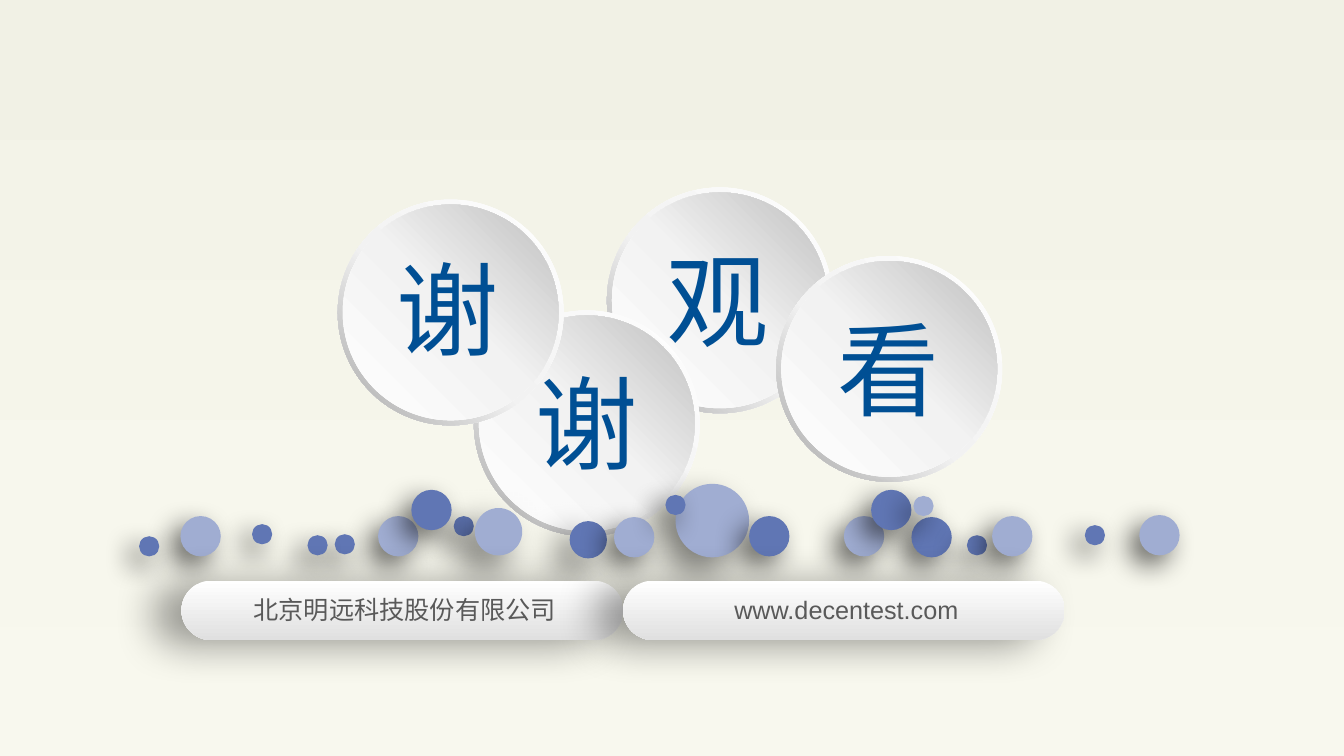
from dataclasses import dataclass
from typing import Any

from lxml.etree import SubElement
from pptx import Presentation
from pptx.dml.color import RGBColor
from pptx.enum.shapes import MSO_SHAPE as Preset
from pptx.enum.text import MSO_AUTO_SIZE as AutoSize, PP_ALIGN as Align
from pptx.oxml.ns import qn
from pptx.util import Inches, Pt


@dataclass(frozen=True)
class Gradient:
    stops: tuple[tuple[int, str], ...]
    angle: int


@dataclass(frozen=True)
class Shadow:
    opacity: int
    blur: int
    distance: int
    angle: int


@dataclass(frozen=True)
class Box:
    left: float
    top: float
    width: float
    height: float


@dataclass(frozen=True)
class Disc:
    left: float
    top: float


@dataclass(frozen=True)
class Character:
    text: str
    left: float
    top: float


@dataclass(frozen=True)
class Bead:
    left: float
    top: float
    size: float
    color: str


@dataclass(frozen=True)
class Pill:
    left: float
    text: str


LIGHT, DARK = "A0ADD2", "6076B4"
BACKDROP = Gradient(((0, "F1F1E5"), (74, "F7F7ED"), (83, "F8F8EE"), (100, "F9F9EF")), 90)
RIM = Gradient(((0, "FFFFFF"), (55, "F2F2F2"), (100, "A6A6A6")), 135)
FACE = Gradient(((0, "FFFFFF"), (51, "F2F2F2"), (100, "BFBFBF")), 315)
PILL_FILL = Gradient(((0, "FFFFFF"), (100, "E0E0E0")), 90)
SOFT_SHADOW = Shadow(50, 25, 15, 135)
TIGHT_SHADOW = Shadow(60, 20, 10, 135)
PILL_SHADOW = Shadow(40, 30, 20, 171)
DISC_SIZE, RIM_WIDTH = 2.24, 0.05
SMALL, MEDIUM = 0.2, 0.4

CHARACTER_FRAME = {
    "margin_left": Inches(0.13), "margin_right": Inches(0.13),
    "margin_top": Inches(0.07), "margin_bottom": Inches(0.07),
    "word_wrap": False, "auto_size": AutoSize.SHAPE_TO_FIT_TEXT,
}
CHARACTER_FONT = {"size": Pt(73), "name": "Calibri"}
PILL_FRAME = {"word_wrap": True, "auto_size": AutoSize.SHAPE_TO_FIT_TEXT}
PILL_FONT = {"size": Pt(18), "name": "Arial"}

DISCS = [Disc(6.02, 1.86), Disc(4.7, 3.08), Disc(3.35, 1.98), Disc(7.7, 2.54)]
CHARACTERS = [
    Character("谢", 3.8, 2.37), Character("谢", 5.18, 3.5),
    Character("观", 6.48, 2.28), Character("看", 8.18, 2.97),
]
BEADS = [
    Bead(6.7, 4.8, 0.73, LIGHT),
    Bead(8.37, 5.12, MEDIUM, LIGHT),
    Bead(3.75, 5.12, MEDIUM, LIGHT),
    Bead(3.32, 5.3, SMALL, DARK),
    Bead(9.04, 5.13, MEDIUM, DARK),
    Bead(4.5, 5.12, SMALL, DARK),
    Bead(9.59, 5.31, SMALL, DARK),
    Bead(5.65, 5.17, 0.37, DARK),
    Bead(9.84, 5.12, MEDIUM, LIGHT),
    Bead(6.09, 5.13, MEDIUM, LIGHT),
    Bead(10.76, 5.21, SMALL, DARK),
    Bead(8.64, 4.86, MEDIUM, DARK),
    Bead(3.05, 5.31, SMALL, DARK),
    Bead(6.6, 4.91, SMALL, DARK),
    Bead(4.71, 5.04, 0.47, LIGHT),
    Bead(7.43, 5.12, MEDIUM, DARK),
    Bead(1.79, 5.12, MEDIUM, LIGHT),
    Bead(1.38, 5.32, SMALL, DARK),
    Bead(4.08, 4.86, MEDIUM, DARK),
    Bead(2.5, 5.2, SMALL, DARK),
    Bead(9.06, 4.92, SMALL, LIGHT),
    Bead(11.3, 5.11, MEDIUM, LIGHT),
]
PILLS = [Pill(1.8, "北京明远科技股份有限公司"), Pill(6.18, "www.decentest.com")]


def rgb(color: str) -> RGBColor:
    return RGBColor.from_string(color)


def apply(target: Any, values: dict[str, Any]) -> None:
    for name, value in values.items():
        setattr(target, name, value)


def paint(owner: Any, fill: str | Gradient) -> None:
    owner.fill.solid()
    if isinstance(fill, str):
        owner.fill.fore_color.rgb = rgb(fill)


def blend(element: Any, gradient: Gradient) -> None:
    solid = element.find(".//" + qn("a:solidFill"))
    blended = solid.getparent().makeelement(qn("a:gradFill"), {"rotWithShape": "1"})
    stops = SubElement(blended, qn("a:gsLst"))
    for position, color in gradient.stops:
        stop = SubElement(stops, qn("a:gs"), pos=str(position * 1000))
        SubElement(stop, qn("a:srgbClr"), val=color)
    SubElement(blended, qn("a:lin"), ang=str(gradient.angle * 60000), scaled="0")
    solid.getparent().replace(solid, blended)


def cast(shape: Any, shadow: Shadow) -> None:
    effects = shape.element.spPr.find(qn("a:effectLst"))
    outer = SubElement(
        effects, qn("a:outerShdw"), blurRad=str(Pt(shadow.blur)), dist=str(Pt(shadow.distance)),
        dir=str(shadow.angle * 60000), algn="ctr", rotWithShape="0",
    )
    black = SubElement(outer, qn("a:srgbClr"), val="000000")
    SubElement(black, qn("a:alpha"), val=str(shadow.opacity * 1000))


def place(box: Box) -> tuple[int, ...]:
    return tuple(Inches(side) for side in (box.left, box.top, box.width, box.height))


def add_form(shapes: Any, preset: Preset, box: Box, fill: str | Gradient,
             shadow: Shadow | None = None) -> Any:
    form = shapes.add_shape(preset, *place(box))
    paint(form, fill)
    if isinstance(fill, Gradient):
        blend(form.element.spPr, fill)
    form.line.fill.background()
    form.shadow.inherit = False
    if shadow:
        cast(form, shadow)
    return form


def add_label(shapes: Any, text: str, box: Box, frame: dict[str, Any],
              font: dict[str, Any], color: str, align: Align | None = None) -> None:
    label = shapes.add_textbox(*place(box)).text_frame
    apply(label, frame)
    line = label.paragraphs[0]
    line.alignment = align
    run = line.add_run()
    run.text = text
    apply(run.font, font)
    run.font.color.rgb = rgb(color)


def add_disc(shapes: Any, disc: Disc) -> None:
    members = shapes.add_group_shape().shapes
    rim = add_form(members, Preset.DONUT, Box(disc.left, disc.top, DISC_SIZE, DISC_SIZE), RIM)
    rim.adjustments[0] = 0.049
    face_size = DISC_SIZE - 2 * RIM_WIDTH
    face = Box(disc.left + RIM_WIDTH, disc.top + RIM_WIDTH, face_size, face_size)
    add_form(members, Preset.OVAL, face, FACE)


def add_pill(shapes: Any, pill: Pill) -> None:
    members = shapes.add_group_shape().shapes
    capsule = add_form(members, Preset.ROUNDED_RECTANGLE, Box(pill.left, 5.76, 4.38, 0.59),
                       PILL_FILL, PILL_SHADOW)
    capsule.adjustments[0] = 0.5
    capsule.element.spPr.find(qn("a:xfrm")).set("flipH", "1")
    add_label(members, pill.text, Box(pill.left + 0.1, 5.85, 4.23, 0.4),
              PILL_FRAME, PILL_FONT, "595959", Align.CENTER)


def main() -> None:
    deck = Presentation()
    apply(deck, {"slide_width": Inches(13.33), "slide_height": Inches(7.5)})
    closing = deck.slides.add_slide(deck.slide_layouts[6])
    paint(closing.background, BACKDROP.stops[0][1])
    blend(closing.element, BACKDROP)
    for disc in DISCS:
        add_disc(closing.shapes, disc)
    for character in CHARACTERS:
        add_label(closing.shapes, character.text, Box(character.left, character.top, 1.3, 1.37),
                  CHARACTER_FRAME, CHARACTER_FONT, "004F94")
    for bead in BEADS:
        shadow = TIGHT_SHADOW if bead.size in (SMALL, MEDIUM) else SOFT_SHADOW
        add_form(closing.shapes, Preset.OVAL, Box(bead.left, bead.top, bead.size, bead.size),
                 bead.color, shadow)
    for pill in PILLS:
        add_pill(closing.shapes, pill)
    deck.save("out.pptx")


if __name__ == "__main__":
    main()
